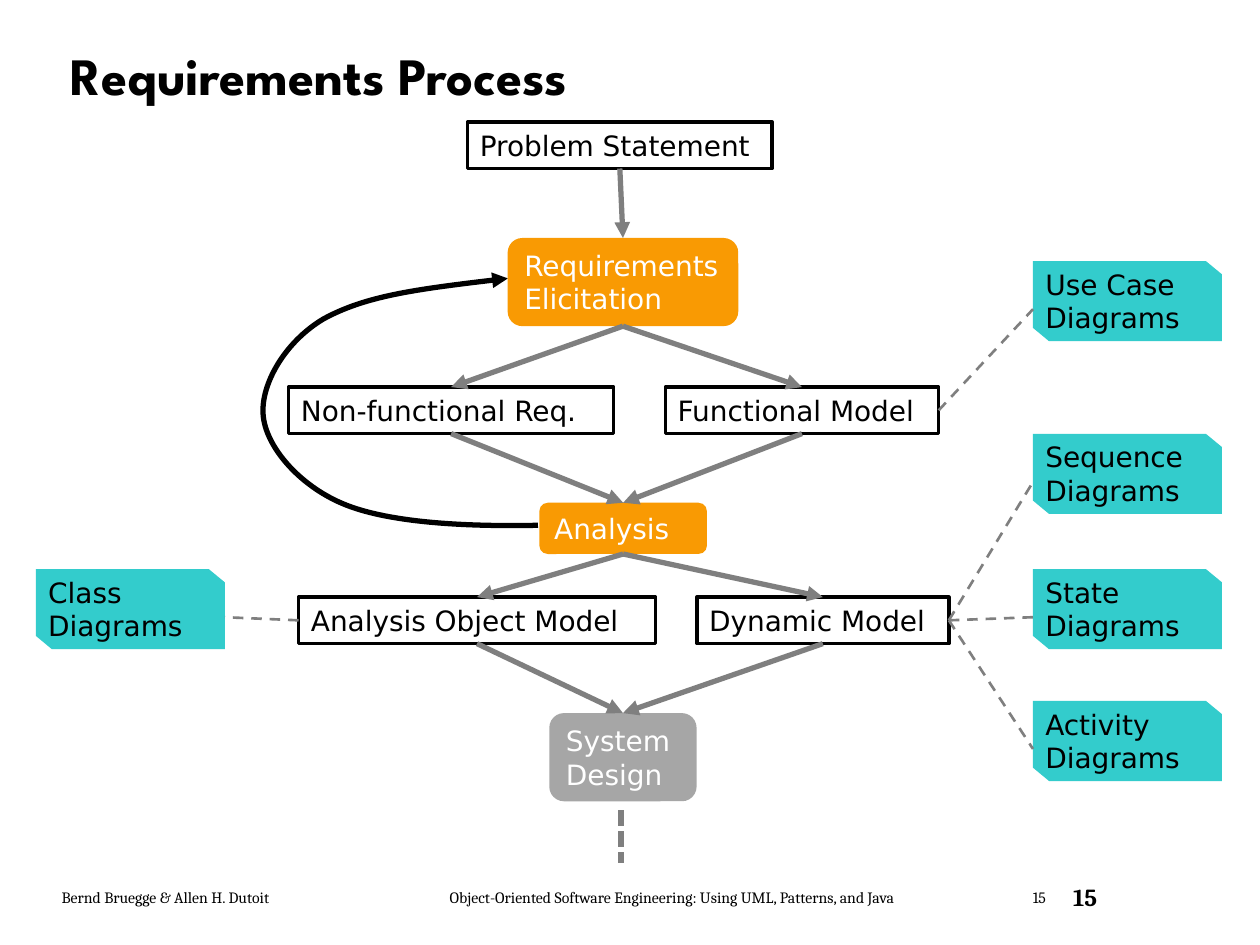
"""Build the Requirements Process slide: a flow of steps, models and diagram notes."""
import pptx
import pptx.dml.color
import pptx.enum.dml
import pptx.enum.shapes
import pptx.enum.text
import pptx.oxml
import pptx.oxml.ns
import pptx.util

Pt = pptx.util.Pt
RGB = pptx.dml.color.RGBColor
KIND = pptx.enum.shapes.MSO_SHAPE
DASH = pptx.enum.dml.MSO_LINE
ANCHOR = pptx.enum.text.MSO_ANCHOR

BLACK = RGB(0x00, 0x00, 0x00)
WHITE = RGB(0xFF, 0xFF, 0xFF)
ORANGE = RGB(0xF9, 0x9A, 0x03)
SILVER = RGB(0xA6, 0xA6, 0xA6)
GRAY = RGB(0x7F, 0x7F, 0x7F)
TEAL = RGB(0x33, 0xCC, 0xCC)

SPACE = 'xmlns:a="http://schemas.openxmlformats.org/drawingml/2006/main"'
TOP, LEFT, BOTTOM, RIGHT = range(4)

BODY = {"name": "DejaVu Sans", "size": Pt(16), "bold": False}
HEAD = {"name": "League Spartan", "size": Pt(30), "bold": True}
FOOT = {"name": "Cambria", "size": Pt(9), "bold": False}
PAGE = {"name": "Cambria", "size": Pt(14), "bold": True}
FRAME = {
    "word_wrap": True,
    "auto_size": pptx.enum.text.MSO_AUTO_SIZE.NONE,
    "vertical_anchor": ANCHOR.TOP,
    "margin_left": Pt(7.2),
    "margin_right": Pt(7.2),
    "margin_top": Pt(3.6),
    "margin_bottom": Pt(3.6),
}


def label(shape, text, font, color=BLACK):
    frame = shape.text_frame
    frame.text = text
    for key, value in FRAME.items():
        setattr(frame, key, value)
    para = frame.paragraphs[0]
    para.alignment = pptx.enum.text.PP_ALIGN.LEFT
    for key, value in font.items():
        setattr(para.runs[0].font, key, value)
    para.runs[0].font.color.rgb = color
    return para


def stroke(shape, color, width, dash=None, arrow=False):
    shape.line.color.rgb = color
    shape.line.width = Pt(width)
    if dash:
        shape.line.dash_style = dash
    if arrow:
        tip = pptx.oxml.parse_xml(f'<a:tailEnd {SPACE} type="triangle"/>')
        shape.line._get_or_add_ln().append(tip)
    props = shape._element.spPr
    if props.find(pptx.oxml.ns.qn("a:effectLst")) is None:
        props.append(pptx.oxml.parse_xml(f"<a:effectLst {SPACE}/>"))


deck = pptx.Presentation()
deck.slide_width, deck.slide_height = Pt(720), Pt(540)
slide = deck.slides.add_slide(deck.slide_layouts[5])
shapes = slide.shapes

title = shapes.title
place = {"left": Pt(33.1), "top": Pt(10.8), "width": Pt(642.2), "height": Pt(67.7)}
for key, value in place.items():
    setattr(title, key, value)
label(title, "Requirements Process", HEAD).line_spacing = 0.9
title.text_frame.vertical_anchor = ANCHOR.MIDDLE

page = shapes.add_textbox(Pt(606.2), Pt(500.4), Pt(82), Pt(24.5))
label(page, "15", PAGE)
foot = shapes.add_textbox(Pt(28.1), Pt(504), Pt(660.2), Pt(18))
words = ["Bernd Bruegge & Allen H. Dutoit",
         "Object-Oriented Software Engineering: Using UML, Patterns, and Java",
         "15"]
para = label(foot, "\t".join(words), FOOT)
stops = "".join(f'<a:tab pos="{Pt(stop)}" algn="l"/>' for stop in (221.8, 555))
tabs = pptx.oxml.parse_xml(f"<a:tabLst {SPACE}>{stops}</a:tabLst>")
para._p.get_or_add_pPr().append(tabs)

curve = [(307.4, 300.2), (266.4, 301), (223.9, 298.8), (198, 288.7),
         (172.1, 278.6), (152.6, 256.3), (150.5, 238.3),
         (148.3, 221), (162, 195.8), (185, 182.2),
         (208.8, 169.2), (240.5, 164.9), (290.2, 159.1)]
dots = [(Pt(x), Pt(y)) for x, y in curve]
pen = shapes.build_freeform(*dots[0])
pen.add_line_segments(dots[1:], close=False)
loop = pen.convert_to_shape()
loop.shadow.inherit = False
loop.fill.solid()
loop.fill.fore_color.rgb = WHITE
stroke(loop, BLACK, 3, arrow=True)
legs = list(loop._element.iter(pptx.oxml.ns.qn("a:lnTo")))
for index in range(0, len(legs), 3):
    bend = pptx.oxml.parse_xml(f"<a:cubicBezTo {SPACE}/>")
    legs[index].addprevious(bend)
    for leg in legs[index:index + 3]:
        bend.append(leg[0])
        leg.getparent().remove(leg)

models = [
    ("Problem Statement", 267.1, 69.7, 174.2),
    ("Functional Model", 380.2, 221.2, 156.2),
    ("Non-functional Req.", 164.9, 221.2, 185.8),
    ("Analysis Object Model", 170.6, 341.2, 204),
    ("Dynamic Model", 398.2, 341.2, 144),
]
steps = [
    ("Requirements Elicitation", 290.1, 136, 131.8, 50.4, ORANGE),
    ("Analysis", 308.2, 287.3, 95.8, 29.3, ORANGE),
    ("System Design", 313.9, 407.5, 84.2, 50.4, SILVER),
]
boxes = {}
for text, x, y, wide in models:
    box = shapes.add_shape(KIND.RECTANGLE, Pt(x), Pt(y), Pt(wide), Pt(26.6))
    box.shadow.inherit = False
    box.fill.solid()
    box.fill.fore_color.rgb = WHITE
    stroke(box, BLACK, 2)
    label(box, text, BODY)
    boxes[text] = box
for text, x, y, wide, high, color in steps:
    box = shapes.add_shape(KIND.ROUNDED_RECTANGLE, Pt(x), Pt(y), Pt(wide), Pt(high))
    box.shadow.inherit = False
    box.fill.solid()
    box.fill.fore_color.rgb = color
    box.line.fill.background()
    label(box, text, BODY, WHITE)
    boxes[text] = box

flows = [
    ("Problem Statement", "Requirements Elicitation"),
    ("Requirements Elicitation", "Functional Model"),
    ("Requirements Elicitation", "Non-functional Req."),
    ("Non-functional Req.", "Analysis"),
    ("Functional Model", "Analysis"),
    ("Analysis", "Dynamic Model"),
    ("Analysis", "Analysis Object Model"),
    ("Analysis Object Model", "System Design"),
    ("Dynamic Model", "System Design"),
]
STRAIGHT = pptx.enum.shapes.MSO_CONNECTOR.STRAIGHT
for start, end in flows:
    flow = shapes.add_connector(STRAIGHT, 0, 0, 0, 0)
    flow.begin_connect(boxes[start], BOTTOM)
    flow.end_connect(boxes[end], TOP)
    stroke(flow, GRAY, 3, arrow=True)

notes = [
    ("Use Case Diagrams", 590.3, 149.2, "Functional Model", RIGHT),
    ("Sequence Diagrams", 590.3, 247.9, "Dynamic Model", RIGHT),
    ("State Diagrams", 590.3, 325.2, "Dynamic Model", RIGHT),
    ("Activity Diagrams", 590.3, 400.5, "Dynamic Model", RIGHT),
    ("Class Diagrams", 20.5, 325.2, "Analysis Object Model", LEFT),
]
WIDE, HIGH, CUTX, CUTY = 108, 45.8, 9.2, 7.6
edge = [(0, 0), (WIDE - CUTX, 0), (WIDE, CUTY), (WIDE, HIGH),
        (CUTX, HIGH), (0, HIGH - CUTY)]
for text, x, y, model, side in notes:
    dots = [(Pt(x + dx), Pt(y + dy)) for dx, dy in edge]
    pen = shapes.build_freeform(*dots[0])
    pen.add_line_segments(dots[1:], close=True)
    note = pen.convert_to_shape()
    note.shadow.inherit = False
    note.fill.solid()
    note.fill.fore_color.rgb = TEAL
    note.line.fill.background()
    label(note, text, BODY)
    near = x if side == RIGHT else x + WIDE
    link = shapes.add_connector(STRAIGHT, 0, 0, Pt(near), Pt(y + 27.5))
    link.begin_connect(boxes[model], side)
    stroke(link, GRAY, 1.5, DASH.DASH)

trail = shapes.add_connector(STRAIGHT, Pt(354.9), Pt(463), Pt(354.9), Pt(493.2))
stroke(trail, GRAY, 3, DASH.SQUARE_DOT)

deck.save("out.pptx")
